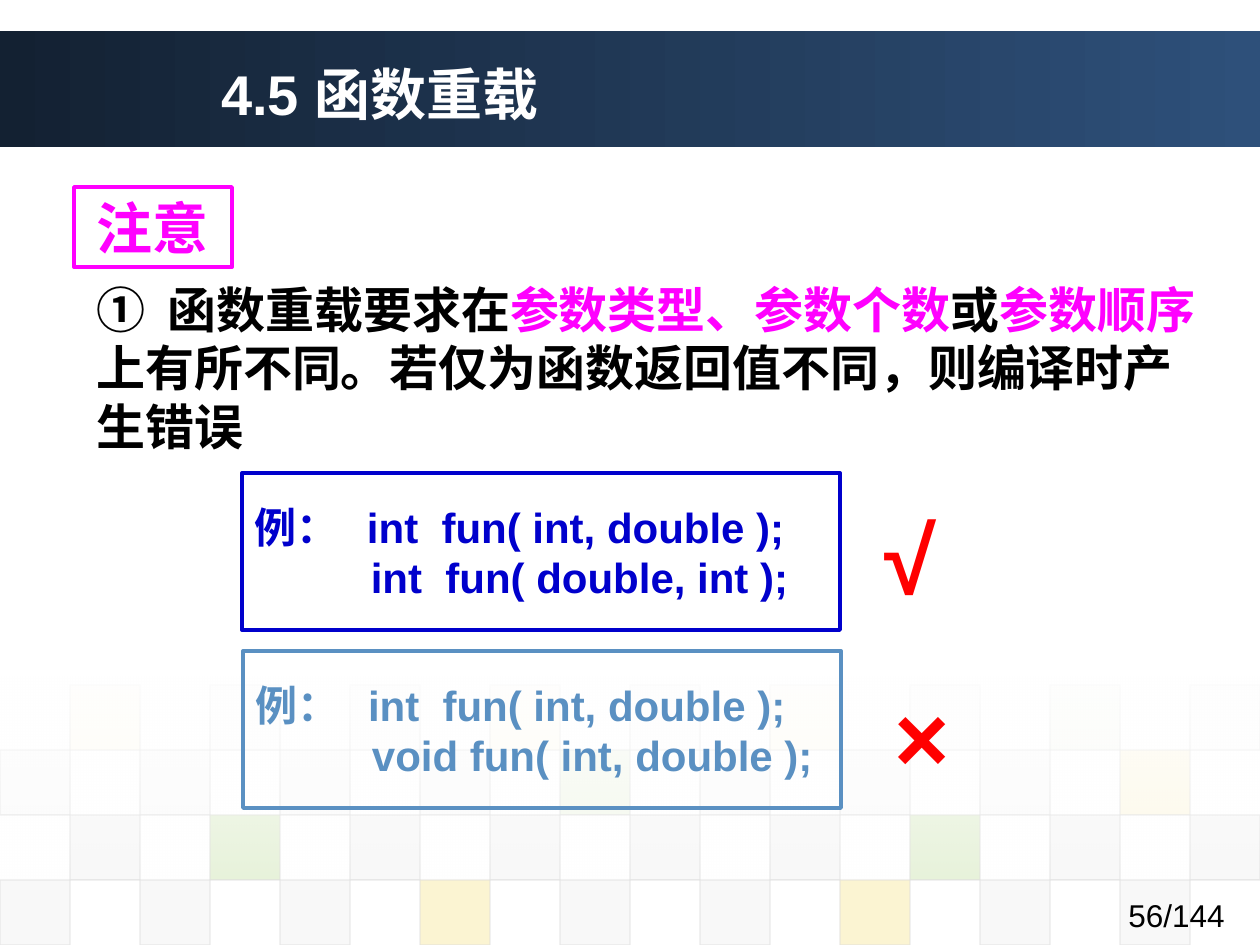
from lxml.etree import SubElement
from pptx import Presentation
from pptx.dml.color import RGBColor
from pptx.enum.shapes import MSO_SHAPE as Preset
from pptx.enum.text import MSO_ANCHOR as Anchor, MSO_AUTO_SIZE as AutoSize, PP_ALIGN as Align
from pptx.oxml.ns import qn
from pptx.util import Emu, Pt

SCALE = 914400 / 126
COLORS = {
    "navy": "132132", "blue": "2E507A", "white": "FFFFFF", "black": "000000",
    "pink": "FF00FF", "code": "0000CC", "sky": "5A90C2", "red": "FF0000",
    "grey": "DDDDDD", "light": "EAEAEA", "green": "8AC246", "yellow": "EFC821",
}
TILE_COLORS = {"d": "grey", "l": "light", "g": "green", "y": "yellow"}
TILE_ROWS = [("yllydylgl", 5), ("ddddgdddy", 10), ("dgddddgdd", 20), ("dddyddydd", 20)]
TILE_WIDTH, TILE_HEIGHT, TILE_TOP = 70, 65, 685


def px(length):
    """Turn whole px into EMU."""
    return Emu(round(length * SCALE))


def color(name):
    """Look up a named colour."""
    return RGBColor.from_string(COLORS[name])


def set_alpha(color_element, percent):
    """Give a colour element an opacity."""
    SubElement(color_element, qn("a:alpha")).set("val", str(percent * 1000))


def add_rect(page, at, line=None, width=2.25):
    """Add an unfilled rectangle with an optional outline."""
    shape = page.shapes.add_shape(Preset.RECTANGLE, *map(px, at))
    shape.shadow.inherit = False
    shape.fill.background()
    if line:
        shape.line.color.rgb = color(line)
        shape.line.width = Pt(width)
    else:
        shape.line.fill.background()
    return shape


def add_gradient(page, at, names, angle, alphas=(100, 100)):
    """Add a borderless rectangle with a two-stop gradient."""
    shape = add_rect(page, at)
    shape.fill.gradient()
    shape.fill.gradient_angle = angle
    for stop, name, position in zip(shape.fill.gradient_stops, names, (0, 1)):
        stop.color.rgb = color(name)
        stop.position = position
    for element, alpha in zip(shape.element.spPr.iter(qn("a:srgbClr")), alphas):
        set_alpha(element, alpha)


def add_tiles(page):
    """Add the checkerboard that fades out upwards."""
    for row, (pattern, alpha) in enumerate(TILE_ROWS):
        for index, key in enumerate(pattern):
            column = 2 * index + (row + 1) % 2
            at = (column * TILE_WIDTH, TILE_TOP + row * TILE_HEIGHT, TILE_WIDTH, TILE_HEIGHT)
            tile = add_rect(page, at, "grey", 0.75)
            tile.fill.solid()
            tile.fill.fore_color.rgb = color(TILE_COLORS[key])
            for element, percent in zip(tile.element.spPr.iter(qn("a:srgbClr")), (alpha, 60)):
                set_alpha(element, percent)
    add_gradient(page, (0, 677, 1260, 204), ("white", "white"), 270, (90, 0))


def write(shape, lines, size, bold=True, align=Align.LEFT, anchor=Anchor.TOP, wrap=True):
    """Write lines of (text, colour) runs into a shape."""
    frame = shape.text_frame
    frame.word_wrap = wrap
    frame.auto_size = AutoSize.NONE
    frame.vertical_anchor = anchor
    for index, spans in enumerate(lines):
        para = frame.add_paragraph() if index else frame.paragraphs[0]
        para.alignment = align
        for text, name in spans:
            span = para.add_run()
            span.text = text
            span.font.name = "Arial"
            span.font.size = Pt(size)
            span.font.bold = bold
            span.font.color.rgb = color(name)


def add_text(page, at, spans, size, bold=True):
    """Add a one-paragraph text box."""
    write(page.shapes.add_textbox(*map(px, at)), [spans], size, bold)


def place_title(page, at, text):
    """Put the title placeholder in front of the band."""
    title = page.shapes.title
    title.left, title.top, title.width, title.height = map(px, at)
    write(title, [[(text, "white")]], 32, anchor=Anchor.MIDDLE)
    title.element.getparent().append(title.element)


def add_example(page, at, name, second_line):
    """Add a framed pair of declarations."""
    lines = ["例：   int  fun( int, double );", " " * 10 + second_line]
    box = add_rect(page, at, name)
    write(box, [[(line, name)] for line in lines], 24, anchor=Anchor.MIDDLE, wrap=False)


def main():
    """Build the slide and save it."""
    deck = Presentation()
    deck.slide_width, deck.slide_height = px(1260), px(945)
    page = deck.slides.add_slide(deck.slide_layouts[5])

    add_gradient(page, (0, 31, 1260, 116), ("navy", "blue"), 0)
    add_tiles(page)
    add_text(page, (1116, 890, 139, 55), [("56/144", "black")], 18, bold=False)
    place_title(page, (193, 35, 1018, 116), " 4.5 函数重载")

    notice = add_rect(page, (74, 187, 158, 80), "pink")
    write(notice, [[("注意", "pink")]], 32, align=Align.CENTER, anchor=Anchor.MIDDLE)
    add_text(page, (84, 273, 1124, 189), [
        ("①  函数重载要求在", "black"),
        ("参数类型、参数个数", "pink"),
        ("或", "black"),
        ("参数顺序", "pink"),
        ("上有所不同。若仅为函数返回值不同，则编译时产生错误", "black"),
    ], 28)

    add_example(page, (242, 473, 598, 157), "code", "int  fun( double, int );")
    add_text(page, (872, 494, 116, 126), [("√", "red")], 54)
    add_example(page, (243, 651, 598, 157), "sky", "void fun( int, double );")
    add_text(page, (882, 672, 116, 126), [("×", "red")], 54)

    deck.save("out.pptx")


if __name__ == "__main__":
    main()
